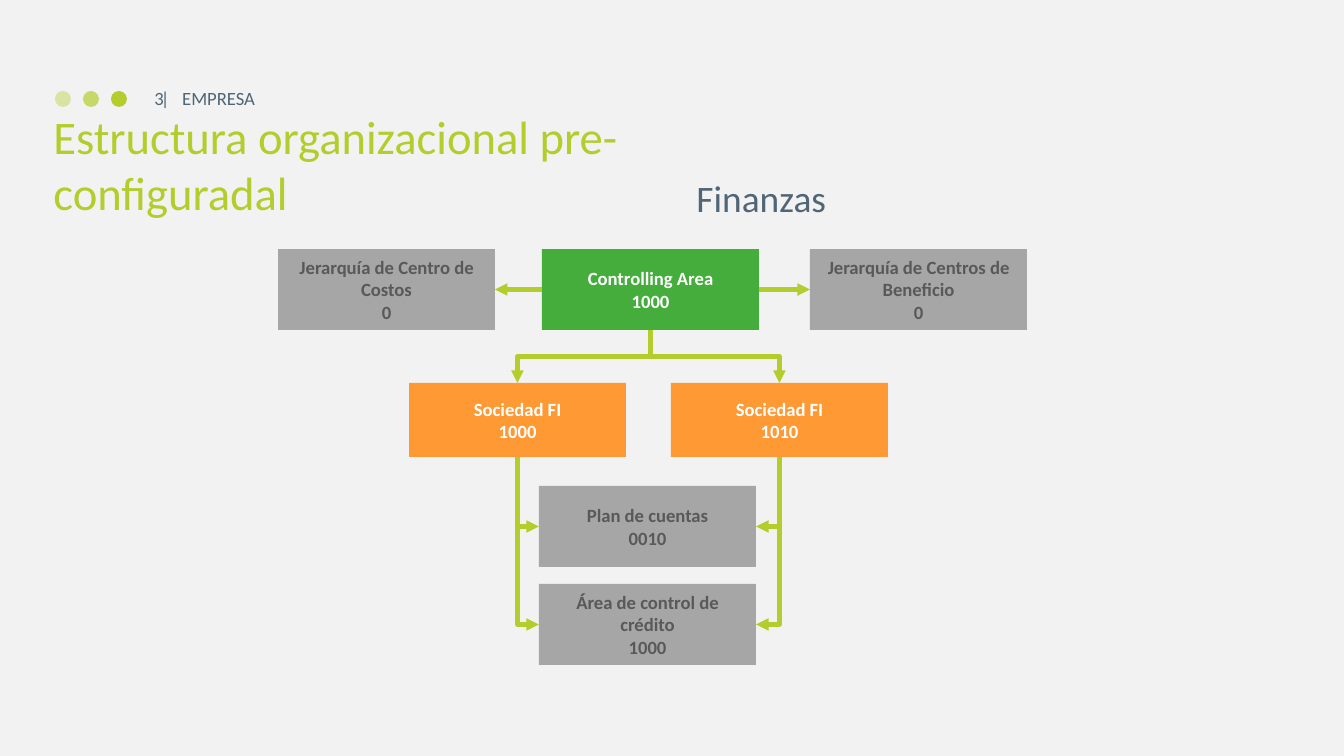
from lxml import etree
from pptx import Presentation
from pptx.dml.color import RGBColor
from pptx.enum.shapes import MSO_CONNECTOR, MSO_SHAPE
from pptx.enum.text import MSO_ANCHOR, MSO_AUTO_SIZE, PP_ALIGN
from pptx.oxml.ns import qn
from pptx.util import Pt

STRAIGHT, ELBOW = MSO_CONNECTOR.STRAIGHT, MSO_CONNECTOR.ELBOW
RECTANGLE, OVAL = MSO_SHAPE.RECTANGLE, MSO_SHAPE.OVAL
LEFT, CENTER, RIGHT = PP_ALIGN.LEFT, PP_ALIGN.CENTER, PP_ALIGN.RIGHT
MIDDLE, BOTTOM = MSO_ANCHOR.MIDDLE, MSO_ANCHOR.BOTTOM
NO_AUTOFIT = MSO_AUTO_SIZE.NONE
TOP_SIDE, LEFT_SIDE, BOTTOM_SIDE, RIGHT_SIDE = range(4)

EMU_PER_PX = 914400 / 134.4
LIME, SLATE, GRAY, DARK_GRAY = "B4CD2C", "506576", "A6A6A6", "595959"
GREEN, ORANGE, WHITE, BACKGROUND = "44AD3B", "FF9933", "FFFFFF", "F2F2F2"
color = RGBColor.from_string


def px(*lengths):
    """Turn pixels into EMU."""
    return [round(length * EMU_PER_PX) for length in lengths]


def write(shape, text, size, font_color, align, anchor, bold=False):
    frame = shape.text_frame
    frame.text = text
    frame.word_wrap = True
    frame.auto_size = NO_AUTOFIT
    frame.vertical_anchor = anchor
    for para in frame.paragraphs:
        para.alignment = align
        for span in para.runs:
            span.font.name = "Calibri"
            span.font.size = Pt(size)
            span.font.bold = bold
            span.font.color.rgb = color(font_color)


deck = Presentation()
deck.slide_width, deck.slide_height = px(1344, 756)
page = deck.slides.add_slide(deck.slide_layouts[1])
page.background.fill.solid()
page.background.fill.fore_color.rgb = color(BACKGROUND)
shapes = page.shapes

# Header dots, from pale to solid
for index, opacity in enumerate((40, 70, 100)):
    dot = shapes.add_shape(OVAL, *px(55 + 28 * index, 91, 16, 16))
    dot.shadow.inherit = False
    dot.line.fill.background()
    dot.fill.solid()
    dot.fill.fore_color.rgb = color(LIME)
    if opacity < 100:
        tint = dot.fill._xPr.find(".//" + qn("a:srgbClr"))
        etree.SubElement(tint, qn("a:alpha"), val=str(opacity * 1000))

# Page number, divider and company name
for text, left, width, align in (
    ("3", 115, 62, RIGHT),
    ("|", 150, 30, CENTER),
    ("EMPRESA", 169, 426, LEFT),
):
    label = shapes.add_textbox(*px(left, 78, width, 40))
    write(label, text, 10, SLATE, align, MIDDLE)
    if text == "|":
        label.text_frame.margin_left = label.text_frame.margin_right = 0

# Title and subtitle
title, subtitle = page.placeholders
for box, left, width, text, size, font_color in (
    (title, 40, 617, "Estructura organizacional pre-configuradal", 25, LIME),
    (subtitle, 683, 594, "Finanzas", 20, SLATE),
):
    box.left, box.top, box.width, box.height = px(left, 101, width, 126)
    write(box, text, size, font_color, LEFT, BOTTOM)
properties = subtitle.text_frame.paragraphs[0]._p.get_or_add_pPr()
properties.set("marL", "0")
properties.set("indent", "0")
etree.SubElement(properties, qn("a:buNone"))

# Organisation units
units = {}
for name, left, top, height, fill, font_color, text in (
    ("area", 542, 249, 81, GREEN, WHITE, "Controlling Area\n1000"),
    ("costs", 278, 249, 81, GRAY, DARK_GRAY, "Jerarquía de Centro de Costos\n0"),
    ("profit", 810, 249, 81, GRAY, DARK_GRAY, "Jerarquía de Centros de Beneficio\n0"),
    ("company 1000", 409, 383, 74, ORANGE, WHITE, "Sociedad FI\n1000"),
    ("company 1010", 671, 383, 74, ORANGE, WHITE, "Sociedad FI\n1010"),
    ("accounts", 539, 486, 81, GRAY, DARK_GRAY, "Plan de cuentas\n0010"),
    ("credit", 539, 584, 81, GRAY, DARK_GRAY, "Área de control de crédito\n1000"),
):
    unit = shapes.add_shape(RECTANGLE, *px(left, top, 217, height))
    unit.shadow.inherit = False
    unit.fill.solid()
    unit.fill.fore_color.rgb = color(fill)
    unit.line.fill.background()
    write(unit, text, 10, font_color, CENTER, MIDDLE, bold=True)
    units[name] = unit

# Arrows between units
for start, start_side, end, end_side in (
    ("area", BOTTOM_SIDE, "company 1000", TOP_SIDE),
    ("area", BOTTOM_SIDE, "company 1010", TOP_SIDE),
    ("company 1000", BOTTOM_SIDE, "accounts", LEFT_SIDE),
    ("company 1010", BOTTOM_SIDE, "accounts", RIGHT_SIDE),
    ("company 1000", BOTTOM_SIDE, "credit", LEFT_SIDE),
    ("company 1010", BOTTOM_SIDE, "credit", RIGHT_SIDE),
    ("area", LEFT_SIDE, "costs", RIGHT_SIDE),
    ("area", RIGHT_SIDE, "profit", LEFT_SIDE),
):
    bent = start_side == BOTTOM_SIDE
    arrow = shapes.add_connector(ELBOW if bent else STRAIGHT, 0, 0, 0, 0)
    arrow.begin_connect(units[start], start_side)
    arrow.end_connect(units[end], end_side)
    arrow.line.color.rgb = color(LIME)
    arrow.line.width = Pt(2.25)
    drawing = arrow._element.spPr
    etree.SubElement(drawing.find(qn("a:ln")), qn("a:tailEnd"), type="triangle")
    etree.SubElement(drawing, qn("a:effectLst"))
    if bent:
        # An elbow that leaves downwards is a quarter-turned frame on the same centre
        begin_x, begin_y, end_x, end_y = arrow.begin_x, arrow.begin_y, arrow.end_x, arrow.end_y
        run, drop = abs(end_x - begin_x), end_y - begin_y
        arrow.left = (begin_x + end_x - drop) // 2
        arrow.top = (begin_y + end_y - run) // 2
        arrow.width, arrow.height = drop, run
        frame = drawing.find(qn("a:xfrm"))
        rightwards = end_x > begin_x
        frame.set("rot", "16200000" if rightwards else "5400000")
        frame.set("flipH", "1" if rightwards else "0")
        frame.set("flipV", "0")
        if end_side != TOP_SIDE:
            drawing.find(qn("a:prstGeom")).set("prst", "bentConnector2")

deck.save("out.pptx")
